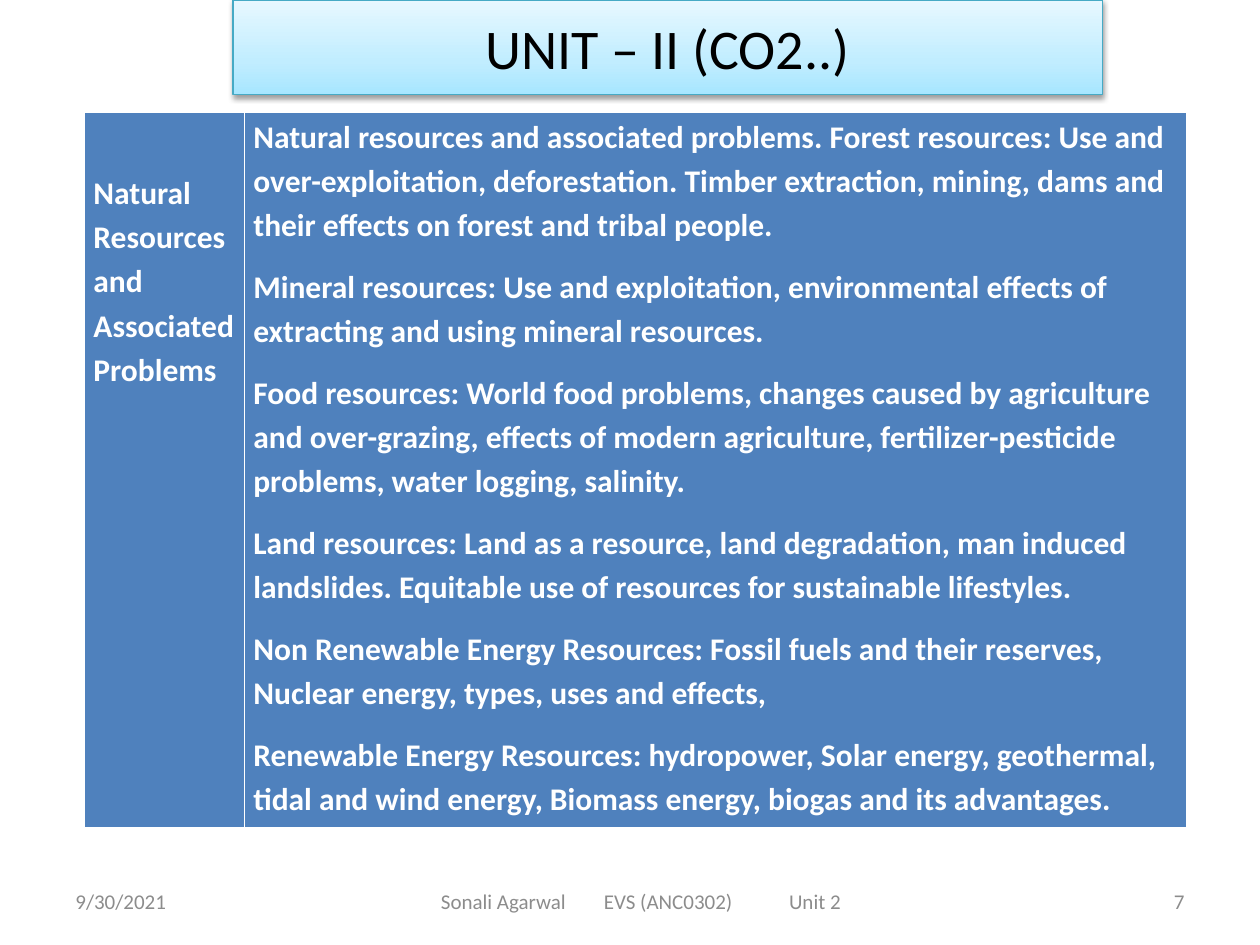
"""Build the Unit II syllabus slide on natural resources."""
import copy
from dataclasses import dataclass

import lxml.etree
import pptx
import pptx.dml.color
import pptx.enum.text
import pptx.oxml.ns
import pptx.util

Pt = pptx.util.Pt
qn = pptx.oxml.ns.qn
Align = pptx.enum.text.PP_ALIGN
Anchor = pptx.enum.text.MSO_ANCHOR


@dataclass(frozen=True)
class Theme:
    font: str = "Calibri"
    black: str = "000000"
    white: str = "FFFFFF"
    grey: str = "8C8C8C"
    cell: str = "4F81BD"
    title_line: str = "46AAC5"
    title_stops: tuple = ((0, "A7E6FF"), (0.35, "C1EDFF"), (1, "E7F8FF"))
    title_size: int = 32
    body_size: int = 18
    footer_size: int = 12


TOPIC = "Natural Resources and Associated Problems"
CONTENTS = (
    "Natural resources and associated problems. Forest resources: Use and over-exploitation, "
    "deforestation. Timber extraction, mining, dams and their effects on forest and tribal people.",
    "Mineral resources: Use and exploitation, environmental effects of extracting and using "
    "mineral resources.",
    "Food resources: World food problems, changes caused by agriculture and over-grazing, effects "
    "of modern agriculture, fertilizer-pesticide problems, water logging, salinity.",
    "Land resources: Land as a resource, land degradation, man induced landslides. Equitable use "
    "of resources for sustainable lifestyles.",
    "Non Renewable Energy Resources: Fossil fuels and their reserves, Nuclear energy, types, uses "
    "and effects,",
    "Renewable Energy Resources: hydropower, Solar energy, geothermal, tidal and wind energy, "
    "Biomass energy, biogas and its advantages.",
)


def rgb(value):
    return pptx.dml.color.RGBColor.from_string(value)


def add_element(parent, tag, **attributes):
    return lxml.etree.SubElement(parent, qn(tag), attributes)


def write_text(frame, *texts, font, size, color, bold=False, align=Align.LEFT,
               line_spacing=None, space_after=None, tabs=()):
    frame.word_wrap = True
    for index, text in enumerate(texts):
        paragraph = frame.paragraphs[0] if index == 0 else frame.add_paragraph()
        paragraph.alignment = align
        if line_spacing:
            paragraph.line_spacing = line_spacing
        if space_after is not None:
            paragraph.space_after = Pt(space_after)
        if tabs:
            tab_list = add_element(paragraph._p.get_or_add_pPr(), "a:tabLst")
            for position in tabs:
                add_element(tab_list, "a:tab", pos=str(Pt(position)), algn="l")
        run = paragraph.add_run()
        run.text = text
        run.font.name = font
        run.font.size = Pt(size)
        run.font.bold = bold
        run.font.color.rgb = rgb(color)


class SlideBuilder:
    def __init__(self, slide, theme):
        self.slide = slide
        self.theme = theme

    def title(self, text, left, top, width, height):
        theme = self.theme
        shape = self.slide.shapes.title
        shape.left, shape.top, shape.width, shape.height = map(Pt, (left, top, width, height))
        shape.fill.gradient()
        shape.fill.gradient_angle = 90
        properties = shape._element.spPr
        stop_list = properties.find(".//" + qn("a:gsLst"))
        stop_list.append(copy.deepcopy(stop_list[0]))
        for stop, (position, color) in zip(shape.fill.gradient_stops, theme.title_stops):
            stop.position = position
            stop.color.rgb = rgb(color)
        shape.line.color.rgb = rgb(theme.title_line)
        shape.line.width = Pt(0.75)
        self.shadow(shape)
        shape.text_frame.auto_size = pptx.enum.text.MSO_AUTO_SIZE.NONE
        shape.text_frame.vertical_anchor = Anchor.MIDDLE
        write_text(shape.text_frame, text, font=theme.font, size=theme.title_size,
                   color=theme.black, align=Align.CENTER)

    def shadow(self, shape):
        shape.shadow.inherit = False
        effects = shape._element.spPr.find(qn("a:effectLst"))
        outer = add_element(effects, "a:outerShdw", blurRad=str(Pt(3.1)), dist=str(Pt(1.6)),
                            dir="5400000", rotWithShape="0")
        color = add_element(outer, "a:srgbClr", val=self.theme.black)
        add_element(color, "a:alpha", val="38000")

    def footer(self, text, left, width, margin_left=7.2, **text_format):
        shape = self.slide.shapes.add_textbox(Pt(left), Pt(500.5), Pt(width), Pt(28.75))
        shape.text_frame.margin_left = Pt(margin_left)
        shape.text_frame.vertical_anchor = Anchor.MIDDLE
        write_text(shape.text_frame, text, font=self.theme.font, size=self.theme.footer_size,
                   color=self.theme.grey, **text_format)

    def table(self, cells, left, top, widths, height):
        frame = self.slide.shapes.add_table(1, len(cells), Pt(left), Pt(top),
                                            Pt(sum(widths)), Pt(height))
        table = frame.table
        table.first_row = table.horz_banding = False
        for column, width in zip(table.columns, widths):
            column.width = Pt(width)
        for cell, (texts, margin_top) in zip(table.rows[0].cells, cells):
            self.cell(cell, texts, margin_top)

    def cell(self, cell, texts, margin_top):
        theme = self.theme
        cell.margin_left = cell.margin_right = Pt(5.04)
        cell.margin_top, cell.margin_bottom = Pt(margin_top), 0
        properties = cell._tc.get_or_add_tcPr()
        for side, width in (("L", 1), ("R", 1), ("T", 1), ("B", 3)):
            border = add_element(properties, f"a:ln{side}", w=str(Pt(width)))
            add_element(add_element(border, "a:solidFill"), "a:srgbClr", val=theme.white)
        cell.fill.solid()
        cell.fill.fore_color.rgb = rgb(theme.cell)
        write_text(cell.text_frame, *texts, font=theme.font, size=theme.body_size,
                   color=theme.white, bold=True, line_spacing=1.15, space_after=10)


def main():
    presentation = pptx.Presentation()
    presentation.slide_width, presentation.slide_height = Pt(720), Pt(540)
    slide = presentation.slides.add_slide(presentation.slide_layouts.get_by_name("Title Only"))
    builder = SlideBuilder(slide, Theme())
    builder.footer("9/30/2021", 36, 168)
    builder.footer("7", 516, 168, align=Align.RIGHT)
    builder.title("UNIT – II (CO2..)", 133.2, 0, 496.8, 54)
    builder.footer("Sonali Agarwal\tEVS (ANC0302)\tUnit 2", 171.4, 391.7,
                   margin_left=80.6, tabs=(93.1, 198.9))
    builder.table((((TOPIC,), 32), (CONTENTS, 0)), 48.4, 64.4, (91.4, 538.6), 409.5)
    presentation.save("out.pptx")


if __name__ == "__main__":
    main()
